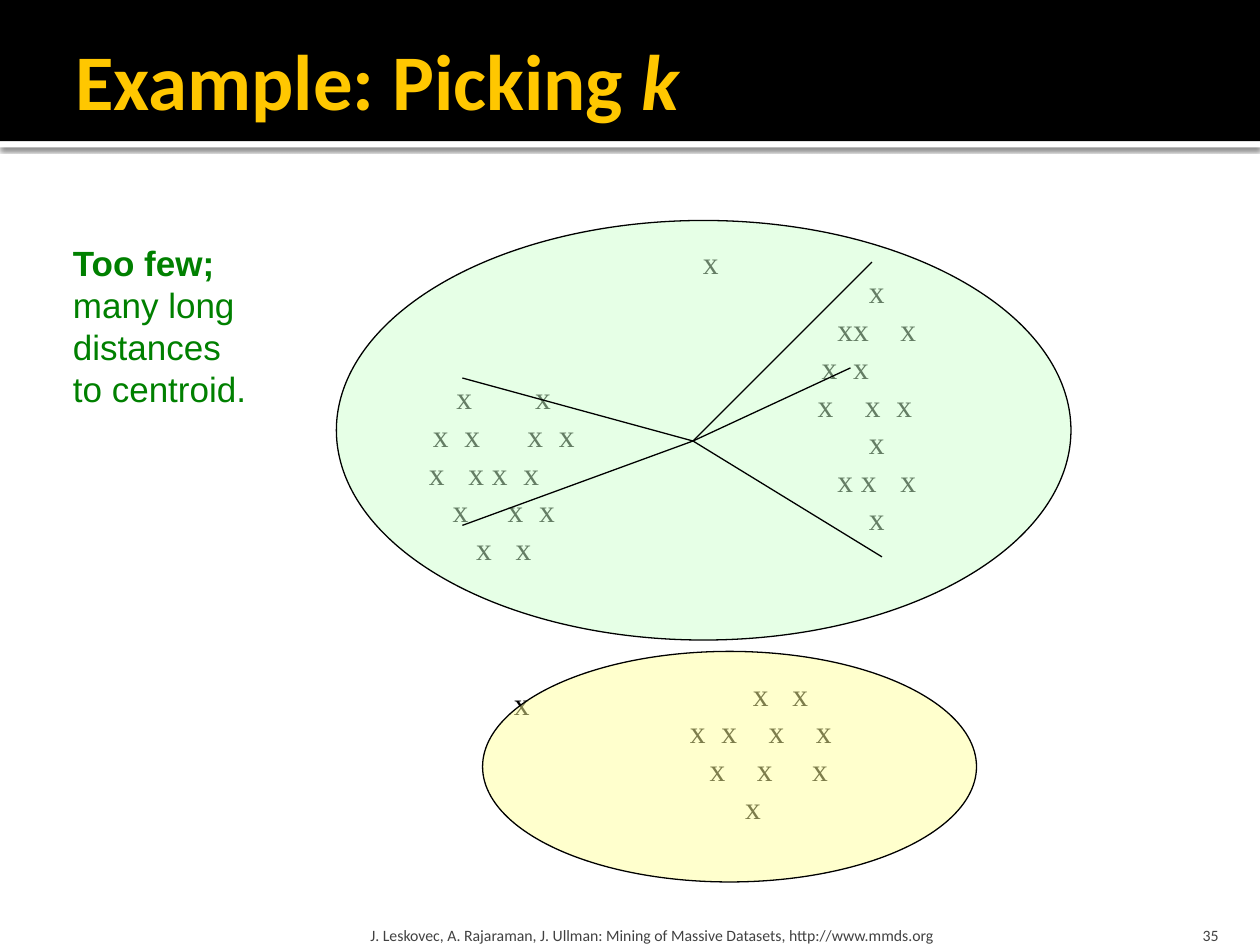
from dataclasses import dataclass

from lxml import etree
from pptx import Presentation, oxml
from pptx import util as u
from pptx.dml.color import RGBColor
from pptx.enum import shapes, text
from pptx.oxml.ns import qn

ANCHOR, ALIGN, SHAPE = text.MSO_ANCHOR, text.PP_ALIGN, shapes.MSO_SHAPE
INSETS = (0.1, 0.05, 0.1, 0.05)
COLUMN = 0.0625  # width of one space in the 18 pt serif; an "x" takes two
CLOSE_GAPS = {2: "", 3: " "}  # column steps too short for a tab


@dataclass(frozen=True)
class Theme:
    black: str = "000000"
    white: str = "FFFFFF"
    gold: str = "FFC700"
    gray: str = "414141"
    green: str = "008000"
    mint: str = "CCFFCC"
    lemon: str = "FFFF99"
    heading: str = "Calibri"
    body: str = "Arial"
    point: str = "Times New Roman"
    title_size: float = 45
    note_size: float = 20
    point_size: float = 18
    footer_size: float = 9
    line_width: float = 0.75


class Deck:
    """Holds the theme and the current slide."""

    def __init__(self, prs, theme):
        self.t = theme
        self.s = prs.slides.add_slide(prs.slide_layouts[5])

    def frame(self, tf, anchor=ANCHOR.TOP, insets=INSETS, wrap=True):
        values = dict(word_wrap=wrap, auto_size=text.MSO_AUTO_SIZE.NONE, vertical_anchor=anchor)
        sides = ("margin_left", "margin_top", "margin_right", "margin_bottom")
        values.update(zip(sides, map(u.Inches, insets)))
        for name, value in values.items():
            setattr(tf, name, value)

    def run(self, p, words, font, size, color, bold=False, italic=False):
        r = p.add_run()
        r.text = words
        values = dict(name=font, size=u.Pt(size), bold=bold, italic=italic)
        for name, value in values.items():
            setattr(r.font, name, value)
        r.font.color.rgb = RGBColor.from_string(color)

    def shape(self, kind, box, fill=None, alpha=None, outlined=False):
        sp = self.s.shapes.add_shape(kind, *map(u.Inches, box))
        sp.shadow.inherit = False
        if fill:
            sp.fill.solid()
            sp.fill.fore_color.rgb = RGBColor.from_string(fill)
        else:
            sp.fill.background()
        if alpha:
            color = sp.fill._xPr.find(".//" + qn("a:srgbClr"))
            etree.SubElement(color, qn("a:alpha"), val=str(alpha * 1000))
        if outlined:
            self.stroke(sp.line)
        else:
            sp.line.fill.background()
        return sp

    def stroke(self, line):
        line.color.rgb = RGBColor.from_string(self.t.black)
        line.width = u.Pt(self.t.line_width)

    def drop_shadow(self, sp):
        effects = sp.element.spPr.find(qn("a:effectLst"))
        effects.append(oxml.parse_xml(
            '<a:outerShdw xmlns:a="http://schemas.openxmlformats.org/drawingml/2006/main" '
            f'blurRad="{u.Pt(2.5)}" dist="{u.Pt(0.8)}" dir="5400000" algn="tl" rotWithShape="0">'
            '<a:srgbClr val="000000"><a:alpha val="60000"/></a:srgbClr></a:outerShdw>'))

    def title(self, box, parts):
        """Fill the title with (words, italic) parts."""
        sp = self.s.shapes.title
        sp.element.getparent().append(sp.element)
        sp.left, sp.top, sp.width, sp.height = map(u.Inches, box)
        self.frame(sp.text_frame, ANCHOR.MIDDLE, (0.1, 0.05, 0.05, 0.05))
        p = sp.text_frame.paragraphs[0]
        p.alignment = ALIGN.LEFT
        for words, italic in parts:
            self.run(p, words, self.t.heading, self.t.title_size, self.t.gold, True, italic)

    def text(self, box, lines, font, size, color, bold_first=False, align=ALIGN.LEFT, **frame):
        tf = self.s.shapes.add_textbox(*map(u.Inches, box)).text_frame
        self.frame(tf, **frame)
        for i, line in enumerate(lines):
            p = tf.add_paragraph() if i else tf.paragraphs[0]
            p.alignment = align
            self.run(p, line, font, size, color, bold_first and i == 0)

    def cluster(self, box, rows):
        """Set rows of points on tab stops, in columns from the centre of an oval."""
        tf = self.shape(SHAPE.OVAL, box).text_frame
        self.frame(tf, ANCHOR.MIDDLE)
        middle = box[2] * 0.5 ** 0.5 / 2 - INSETS[0]
        for i, row in enumerate(rows):
            p = tf.add_paragraph() if i else tf.paragraphs[0]
            p.alignment = ALIGN.LEFT
            stops = etree.SubElement(p._p.get_or_add_pPr(), qn("a:tabLst"))
            words = ""
            for j, column in enumerate(row):
                gap = CLOSE_GAPS.get(column - row[j - 1], "\t") if j else "\t"
                if gap == "\t":
                    pos = u.Inches(middle + column * COLUMN)
                    etree.SubElement(stops, qn("a:tab"), pos=str(int(pos)), algn="l")
                words += gap + "x"
            self.run(p, words, self.t.point, self.t.point_size, self.t.black)

    def line(self, start, end):
        c = self.s.shapes.add_connector(shapes.MSO_CONNECTOR.STRAIGHT, *map(u.Inches, start + end))
        self.stroke(c.line)
        etree.SubElement(c.element.spPr, qn("a:effectLst"))


def main():
    prs = Presentation()
    prs.slide_width, prs.slide_height = u.Inches(10), u.Inches(7.5)
    t = Theme()
    d = Deck(prs, t)

    d.drop_shadow(d.shape(SHAPE.RECTANGLE, (0, 1.12, 10, 0.05), t.white))
    d.shape(SHAPE.RECTANGLE, (0, 0, 10, 1.12), t.black)
    d.title((0.5, 0.17, 9, 0.92), [("Example: Picking ", False), ("k", True)])

    footer = (t.heading, t.footer_size, t.gray)
    d.text((2.89, 7.2, 6.02, 0.3),
           ["J. Leskovec, A. Rajaraman, J. Ullman: Mining of Massive Datasets, http://www.mmds.org"],
           *footer, anchor=ANCHOR.BOTTOM, insets=(0.05, 0.05, 0.05, 0))
    d.text((8.97, 7.2, 0.8, 0.3), ["35"], *footer, align=ALIGN.RIGHT,
           anchor=ANCHOR.BOTTOM, insets=(0.1, 0.05, 0.1, 0))

    d.cluster((3, 2.5, 2, 2.5), [
        (-6, 4), (-9, -5, 3, 7), (-9.5, -4.5, -1.5, 2.5), (-6.5, 0.5, 4.5), (-3.5, 1.5)])
    d.cluster((6, 1.67, 1.92, 3.08), [
        (-1,), (-5, -3, 3), (-7, -3), (-7.5, -1.5, 2.5), (-1,), (-5, -2, 3), (-1,)])
    d.cluster((5, 5.08, 2.08, 1.75), [
        (-1, 4), (-9, -5, 1, 7), (-6.5, -0.5, 6.5), (-2,)])
    for left, top in [(5.48, 1.88), (3.98, 5.38)]:
        d.text((left, top, 0.37, 0.5), ["x"], t.point, t.point_size, t.black, wrap=False)

    d.shape(SHAPE.OVAL, (2.67, 1.75, 5.83, 3.33), t.mint, 49, True)
    d.shape(SHAPE.OVAL, (3.83, 5.17, 3.92, 1.83), t.lemon, 49, True)

    centroid = (5.5, 3.5)
    for end in [(3.67, 3), (3.67, 4.17), (7, 4.42), (6.75, 2.92), (6.92, 2.08)]:
        d.line(centroid, end)

    d.text((0.48, 1.87, 1.59, 1.45), ["Too few;", "many long", "distances", "to centroid."],
           t.body, t.note_size, t.green, bold_first=True, wrap=False)

    prs.save("out.pptx")


if __name__ == "__main__":
    main()
